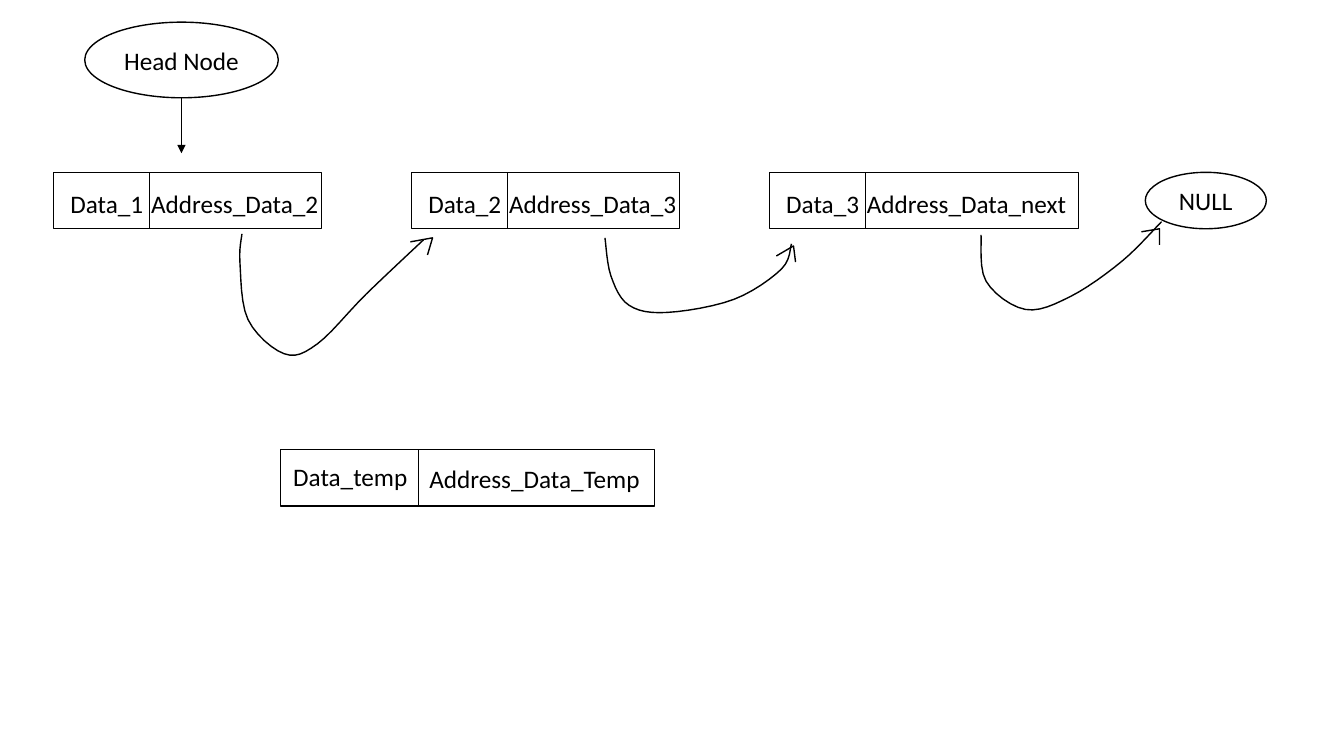
from lxml import etree
from pptx import Presentation
from pptx.dml.color import RGBColor
from pptx.enum.shapes import MSO_CONNECTOR, MSO_SHAPE
from pptx.enum.text import MSO_ANCHOR, MSO_AUTO_SIZE, PP_ALIGN
from pptx.oxml.ns import qn
from pptx.util import Inches, Pt

RECTANGLE, OVAL = MSO_SHAPE.RECTANGLE, MSO_SHAPE.OVAL
STRAIGHT = MSO_CONNECTOR.STRAIGHT
MIDDLE, CENTER = MSO_ANCHOR.MIDDLE, PP_ALIGN.CENTER
GROW = MSO_AUTO_SIZE.SHAPE_TO_FIT_TEXT
BLACK = RGBColor(0x00, 0x00, 0x00)
FONT, TEXT_SIZE = "Calibri", Pt(18)
NODE_HEIGHT, LABEL_HEIGHT = 0.56, 0.4
LIST_LEFT, LIST_TOP, LIST_STEP = 0.53, 1.71, 3.55
CURVE_STEPS = 6

# List nodes: address text, width of its label, width of the node
LIST_NODES = [
    ("Address_Data_2", 1.88, 2.66),
    ("Address_Data_3", 1.88, 2.66),
    ("Address_Data_next", 2.2, 3.07),
]

# Links: left edge, points the curve runs through, points of the arrowhead
LINKS = [
    (2.37,
     [(0.03, 2.32), (0.01, 2.6), (0.09, 3.17), (0.45, 3.51), (0.78, 3.41),
      (1.26, 2.92), (1.83, 2.38)],
     [(1.7, 2.4), (1.92, 2.36), (1.87, 2.53)]),
    (6,
     [(0, 2.36), (0.06, 2.74), (0.24, 3.03), (0.62, 3.1), (1.28, 2.97),
      (1.75, 2.67), (1.85, 2.42)],
     [(1.7, 2.54), (1.87, 2.44), (1.89, 2.6)]),
    (9.71,
     [(0.02, 2.33), (0.07, 2.79), (0.46, 3.07), (0.91, 2.94),
      (1.42, 2.59), (1.81, 2.2)],
     [(1.61, 2.3), (1.79, 2.27), (1.79, 2.43)]),
]


def format_text(frame):
    for para in frame.paragraphs:
        for span in para.runs:
            span.font.name = FONT
            span.font.size = TEXT_SIZE
            span.font.color.rgb = BLACK


def outline(shape):
    shape.shadow.inherit = False
    shape.fill.background()
    shape.line.color.rgb = BLACK
    shape.line.width = Pt(1)


def add_line(page, x1, y1, x2, y2, arrow=False):
    line = page.shapes.add_connector(
        STRAIGHT, Inches(x1), Inches(y1), Inches(x2), Inches(y2))
    line.line.color.rgb = BLACK
    line.line.width = Pt(0.5)
    properties = line._element.spPr
    if arrow:
        etree.SubElement(properties.find(qn("a:ln")), qn("a:tailEnd"), type="triangle")
    etree.SubElement(properties, qn("a:effectLst"))


def add_oval(page, left, top, width, height, text):
    oval = page.shapes.add_shape(
        OVAL, Inches(left), Inches(top), Inches(width), Inches(height))
    outline(oval)
    frame = oval.text_frame
    frame.text = text
    frame.vertical_anchor = MIDDLE
    frame.paragraphs[0].alignment = CENTER
    format_text(frame)


def add_head(page, left, top, width, height):
    add_oval(page, left, top, width, height, "Head Node")
    middle, bottom = left + width / 2, top + height
    add_line(page, middle, bottom, middle, bottom + 0.55, arrow=True)


def add_label(page, left, top, width, text):
    label = page.shapes.add_textbox(
        Inches(left), Inches(top), Inches(width), Inches(LABEL_HEIGHT))
    frame = label.text_frame
    frame.word_wrap = False
    frame.auto_size = GROW
    frame.text = text
    format_text(frame)


def add_node(page, left, top, width, divider):
    box = page.shapes.add_shape(
        RECTANGLE, Inches(left), Inches(top), Inches(width), Inches(NODE_HEIGHT))
    outline(box)
    add_line(page, left + divider, top, left + divider, top + NODE_HEIGHT)


def add_list_node(page, left, top, number, address, address_width, width):
    add_node(page, left, top, width, 0.95)
    add_label(page, left + 0.07, top + 0.11, 0.93, f"Data_{number}")
    add_label(page, left + 0.87, top + 0.11, address_width, address)


def add_temporary_node(page, left, top):
    add_node(page, left, top, 3.71, 1.37)
    add_label(page, left + 0.03, top + 0.07, 1.35, "Data_temp")
    add_label(page, left + 1.38, top + 0.09, 2.31, "Address_Data_Temp")


def smooth_curve(points):
    """Run a Catmull-Rom spline through the points."""
    padded = [points[0], *points, points[-1]]
    curve = [points[0]]
    for before, start, end, after in zip(padded, padded[1:], padded[2:], padded[3:]):
        for step in range(1, CURVE_STEPS + 1):
            t = step / CURVE_STEPS
            curve.append(tuple(
                b + (c - a) * t / 2
                + (2 * a - 5 * b + 4 * c - d) * t**2 / 2
                + (3 * b - a - 3 * c + d) * t**3 / 2
                for a, b, c, d in zip(before, start, end, after)))
    return curve


def add_link(page, left, curve, arrowhead):
    for stroke in (smooth_curve(curve), arrowhead):
        points = [(Inches(left + x), Inches(y)) for x, y in stroke]
        builder = page.shapes.build_freeform(*points[0])
        builder.add_line_segments(points[1:], close=False)
        outline(builder.convert_to_shape())


def main():
    deck = Presentation()
    deck.slide_width, deck.slide_height = Inches(13.33), Inches(7.5)
    page = deck.slides.add_slide(deck.slide_layouts[6])

    # Head pointer and terminator
    add_head(page, 0.84, 0.22, 1.92, 0.75)
    add_oval(page, 11.36, LIST_TOP, 1.2, NODE_HEIGHT, "NULL")

    # List nodes and the temporary node
    for index, node in enumerate(LIST_NODES):
        add_list_node(page, LIST_LEFT + index * LIST_STEP, LIST_TOP, index + 1, *node)
    add_temporary_node(page, 2.78, 4.46)

    # Links from each node to the next
    for link in LINKS:
        add_link(page, *link)

    deck.save("out.pptx")


if __name__ == "__main__":
    main()
